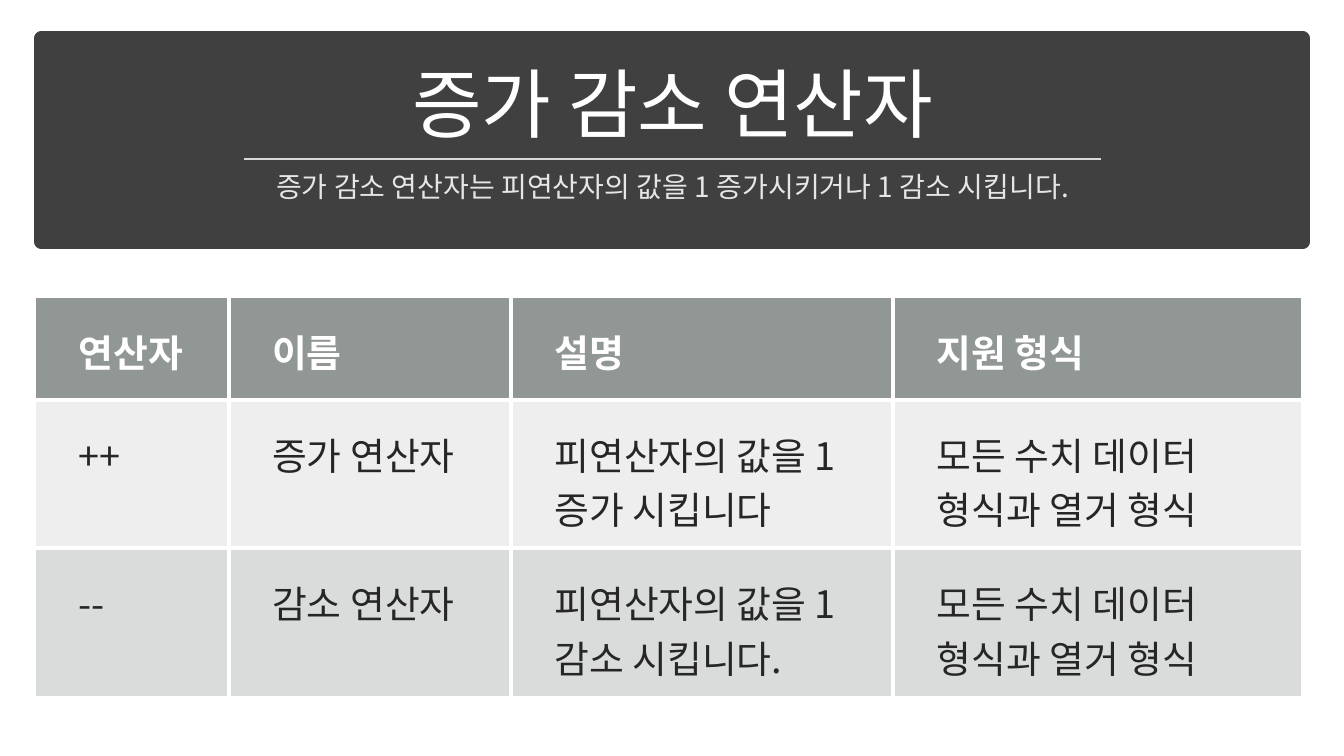
"""Build a slide on the increment and decrement operators."""
from dataclasses import dataclass

from lxml import etree
from pptx import Presentation
from pptx import util as u
from pptx.dml.color import RGBColor
from pptx.enum import shapes, text
from pptx.oxml import ns


@dataclass(frozen=True)
class Theme:
    font: str = "Noto Sans CJK KR"
    white: str = "FFFFFF"
    banner: str = "404040"
    subtitle: str = "E7E6E6"
    rule: str = "D9D9D9"
    header: str = "636B68"
    body: str = "878E8B"
    ink: str = "262626"
    title_size: float = 54
    subtitle_size: float = 20
    cell_size: float = 27
    border_width: float = 3


@dataclass(frozen=True)
class Heading:
    words: str
    box: tuple[float, float, float, float]
    size: float
    color: str
    anchor: text.MSO_ANCHOR
    space_before: float


@dataclass(frozen=True)
class OperatorRow:
    cells: tuple[str, ...]
    height: float
    fill: str
    opacity: int
    color: str
    bold: bool = False


THEME = Theme()
HEADINGS = (
    Heading("증가 감소 연산자", (0.58, 0.51, 12.18, 1.02),
            THEME.title_size, THEME.white, text.MSO_ANCHOR.BOTTOM, 0),
    Heading("증가 감소 연산자는 피연산자의 값을 1 증가시키거나 1 감소 시킵니다.",
            (1.67, 1.67, 10, 0.46),
            THEME.subtitle_size, THEME.subtitle, text.MSO_ANCHOR.TOP, 10),
)
COLUMN_WIDTHS = (1.92, 2.8, 3.79, 4.05)
SUPPORTED = "모든 수치 데이터 형식과 열거 형식"
ROWS = (
    OperatorRow(("연산자", "이름", "설명", "지원 형식"),
                1.02, THEME.header, 70, THEME.white, True),
    OperatorRow(("++", "증가 연산자", "피연산자의 값을 1 증가 시킵니다", SUPPORTED),
                1.47, THEME.body, 15, THEME.ink),
    OperatorRow(("--", "감소 연산자", "피연산자의 값을 1 감소 시킵니다.", SUPPORTED),
                1.47, THEME.body, 30, THEME.ink),
)


def rgb(code: str) -> RGBColor:
    """Turn a hex code into a colour."""
    return RGBColor.from_string(code)


def add_words(paragraph, words: str, size: float, color: str, bold: bool = False) -> None:
    """Add one run in the theme font, for Latin and Korean letters alike."""
    run = paragraph.add_run()
    run.text = words
    run.font.name = THEME.font
    run.font.size = u.Pt(size)
    run.font.bold = bold
    run.font.color.rgb = rgb(color)
    east_asian = etree.SubElement(run.font._element, ns.qn("a:ea"))
    east_asian.set("typeface", THEME.font)


def add_banner(slide) -> None:
    """Draw the dark banner and the rule across it."""
    banner = slide.shapes.add_shape(
        shapes.MSO_SHAPE.RECTANGLE, *map(u.Inches, (0.41, 0.38, 12.51, 2.02)))
    banner.shadow.inherit = False
    banner.fill.solid()
    banner.fill.fore_color.rgb = rgb(THEME.banner)
    banner.line.color.rgb = rgb(THEME.banner)
    banner.line.width = u.Pt(10)
    rule = slide.shapes.add_connector(
        shapes.MSO_CONNECTOR.STRAIGHT, *map(u.Inches, (2.42, 1.58, 10.92, 1.58)))
    rule.line.color.rgb = rgb(THEME.rule)
    rule.line.width = u.Pt(1.75)
    etree.SubElement(rule._element.spPr, ns.qn("a:effectLst"))


def add_heading(slide, heading: Heading) -> None:
    """Place a centred heading."""
    frame = slide.shapes.add_textbox(*map(u.Inches, heading.box)).text_frame
    frame.word_wrap = True
    frame.vertical_anchor = heading.anchor
    paragraph = frame.paragraphs[0]
    paragraph.alignment = text.PP_ALIGN.CENTER
    paragraph.line_spacing = 0.9
    paragraph.space_before = u.Pt(heading.space_before)
    add_words(paragraph, heading.words, heading.size, heading.color)


def add_borders(cell, sides: list[str]) -> None:
    """Rule the given sides of a cell, ahead of its fill."""
    properties = cell._tc.get_or_add_tcPr()
    for position, side in enumerate(sides):
        border = etree.Element(ns.qn(f"a:ln{side}"), w=str(u.Pt(THEME.border_width)))
        fill = etree.SubElement(border, ns.qn("a:solidFill"))
        etree.SubElement(fill, ns.qn("a:srgbClr"), val=THEME.white)
        properties.insert(position, border)


def fill_cell(cell, words: str, row: OperatorRow) -> None:
    """Give a cell its margins, tint and words."""
    cell.margin_left = u.Inches(0.43)
    cell.margin_right = cell.margin_top = cell.margin_bottom = u.Inches(0.26)
    cell.fill.solid()
    cell.fill.fore_color.rgb = rgb(row.fill)
    tint = cell._tc.tcPr.find(".//" + ns.qn("a:srgbClr"))
    etree.SubElement(tint, ns.qn("a:alpha"), val=str(row.opacity * 1000))
    add_words(cell.text_frame.paragraphs[0], words, THEME.cell_size, row.color, row.bold)


def add_operators(slide) -> None:
    """Build the operator table with white rules between its cells."""
    last_row, last_column = len(ROWS) - 1, len(COLUMN_WIDTHS) - 1
    operators = slide.shapes.add_table(
        len(ROWS), len(COLUMN_WIDTHS), u.Inches(0.35), u.Inches(2.95),
        u.Inches(sum(COLUMN_WIDTHS)), u.Inches(sum(row.height for row in ROWS))).table
    operators.horz_banding = False
    operators.first_row = False
    for column, width in zip(operators.columns, COLUMN_WIDTHS):
        column.width = u.Inches(width)
    for r, row in enumerate(ROWS):
        operators.rows[r].height = u.Inches(row.height)
        for c, words in enumerate(row.cells):
            cell = operators.cell(r, c)
            fill_cell(cell, words, row)
            inner = {"L": c > 0, "R": c < last_column, "T": r > 0, "B": r < last_row}
            add_borders(cell, [side for side, ruled in inner.items() if ruled])


def main() -> None:
    """Assemble and save the slide."""
    deck = Presentation()
    deck.slide_width, deck.slide_height = u.Inches(13.33), u.Inches(7.5)
    slide = deck.slides.add_slide(deck.slide_layouts[6])
    add_banner(slide)
    for heading in HEADINGS:
        add_heading(slide, heading)
    add_operators(slide)
    deck.save("out.pptx")


if __name__ == "__main__":
    main()
